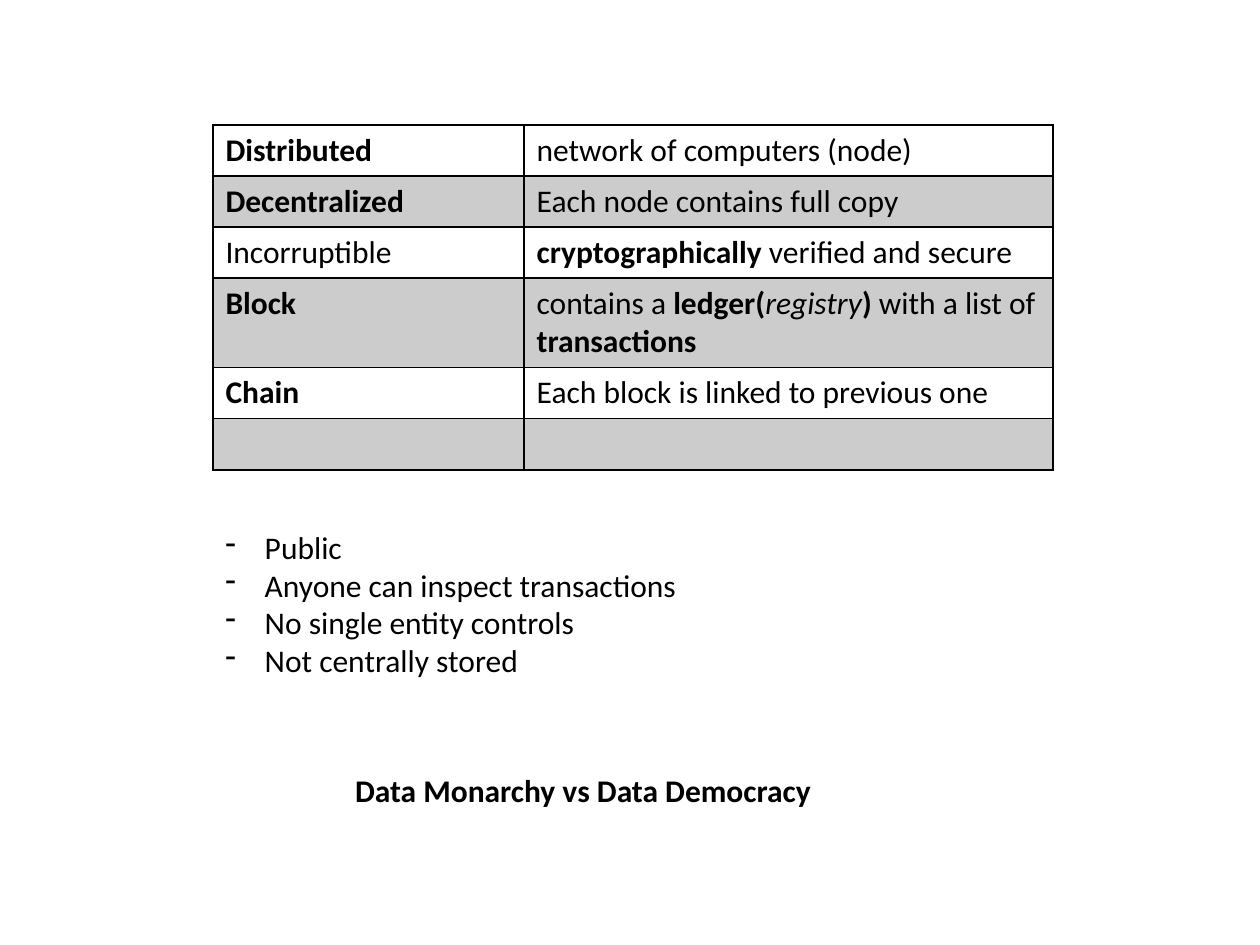
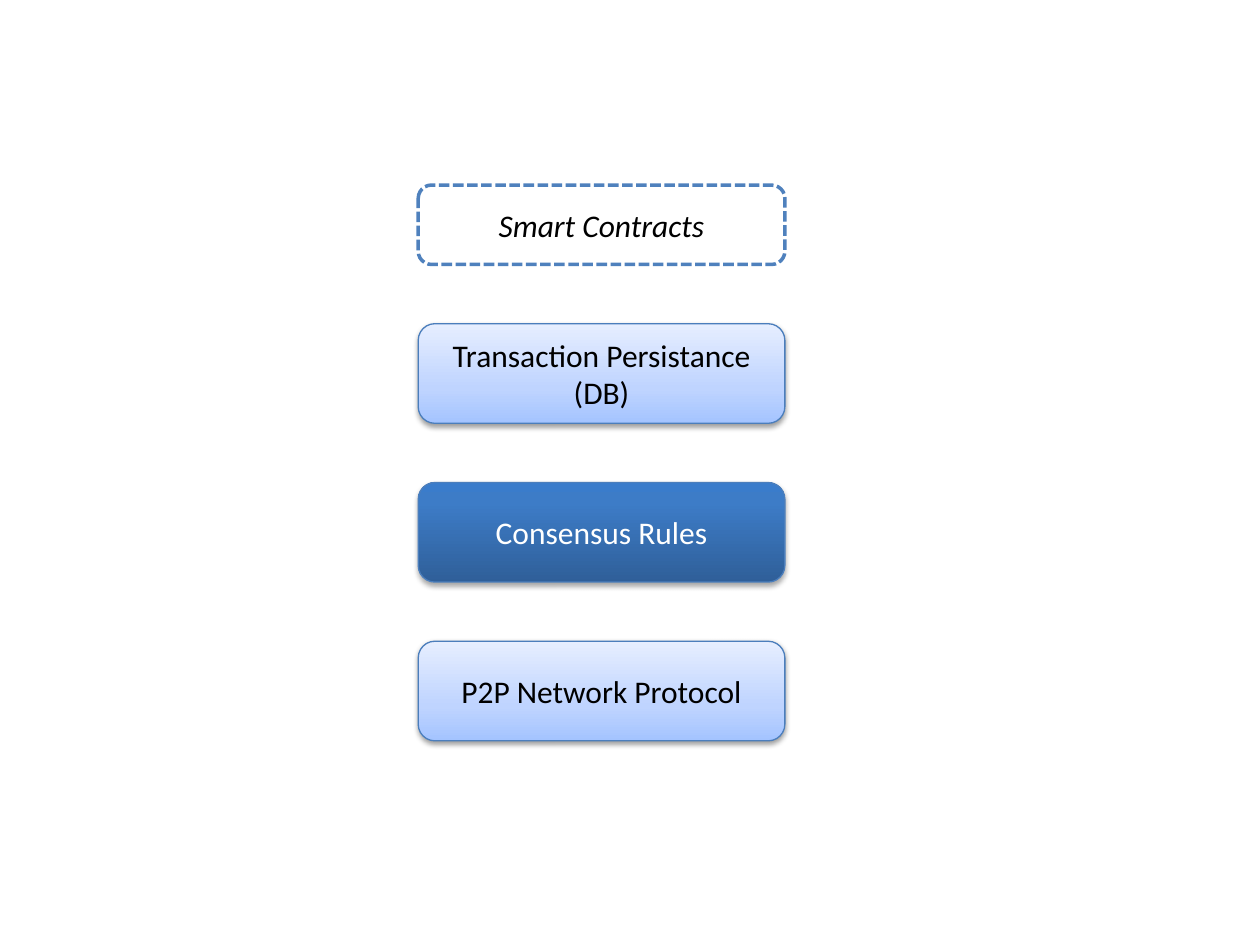
"""Build two slides on blockchain traits and protocol layers."""
from dataclasses import dataclass
from typing import Any, Optional

from lxml import etree
from pptx import Presentation
from pptx.dml.color import RGBColor
from pptx.enum.dml import MSO_LINE
from pptx.enum.shapes import MSO_SHAPE
from pptx.enum.text import MSO_ANCHOR, MSO_AUTO_SIZE, PP_ALIGN
from pptx.oxml.ns import qn
from pptx.util import Pt

BLACK = RGBColor(0x00, 0x00, 0x00)
WHITE = RGBColor(0xFF, 0xFF, 0xFF)
EDGE = RGBColor(0x4B, 0x7E, 0xBC)
DASH = RGBColor(0x4F, 0x81, 0xBD)
SKY = (RGBColor(0xA4, 0xC4, 0xFF), RGBColor(0xBF, 0xD4, 0xFF), RGBColor(0xE6, 0xEE, 0xFF))
NAVY = (RGBColor(0x2F, 0x5F, 0x99), RGBColor(0x3D, 0x7C, 0xC7), RGBColor(0x3A, 0x7C, 0xCB))

FONT = "Calibri"
SIZE = Pt(18)
CENTER = PP_ALIGN.CENTER
MIDDLE = MSO_ANCHOR.MIDDLE
ROUND = MSO_SHAPE.ROUNDED_RECTANGLE
SYS_DASH = MSO_LINE.SQUARE_DOT
GROW = MSO_AUTO_SIZE.SHAPE_TO_FIT_TEXT
BLANK = 6

LEFT = Pt(121.7)
INDENT = Pt(22.5)
ROW = Pt(29.2)
TALL = Pt(51)
COLS = (Pt(177.8), Pt(302.4))
LAYER_X, LAYER_Y, LAYER_W = Pt(239), Pt(105.8), Pt(209.5)
GAP = Pt(33.84)


@dataclass(frozen=True)
class Span:
    """A stretch of text in one style."""

    text: str
    bold: bool = False
    italic: bool = False


@dataclass(frozen=True)
class Trait:
    """A table row: a name and what it means."""

    name: Span
    sense: tuple[Span, ...]
    height: int = ROW


@dataclass(frozen=True)
class Shade:
    """A gradient, from bottom to top, with its shadow."""

    colors: tuple[RGBColor, ...]
    mid: int
    alpha: int
    dist: float


@dataclass(frozen=True)
class Layer:
    """One box of the protocol stack."""

    text: str
    shade: Optional[Shade] = None
    height: int = Pt(56.88)
    ink: RGBColor = BLACK


TRAITS = (
    Trait(Span("Distributed", True), (Span("network of computers (node)"),)),
    Trait(Span("Decentralized", True), (Span("Each node contains full copy"),)),
    Trait(Span("Incorruptible"),
          (Span("cryptographically", True), Span(" verified and secure"))),
    Trait(Span("Block", True),
          (Span("contains a "), Span("ledger(", True), Span("registry", italic=True),
           Span(")", True), Span(" with a list of "), Span("transactions", True)), TALL),
    Trait(Span("Chain", True), (Span("Each block is linked to previous one"),)),
    Trait(Span(""), ()),
)
POINTS = ("Public", "Anyone can inspect transactions",
          "No single entity controls", "Not centrally stored")
LIGHT = Shade(SKY, 35, 38, 1.6)
DARK = Shade(NAVY, 80, 35, 1.8)
LAYERS = (
    Layer("Smart Contracts", height=Pt(45.36)),
    Layer("Transaction Persistance (DB)", LIGHT),
    Layer("Consensus Rules", DARK, ink=WHITE),
    Layer("P2P Network Protocol", LIGHT),
)


def node(parent: Any, tag: str, **attrs: Any) -> Any:
    """Add a DrawingML child element."""
    return etree.SubElement(parent, qn(f"a:{tag}"), {k: str(v) for k, v in attrs.items()})


def tint(parent: Any, color: RGBColor, alpha: int = 100) -> None:
    """Add a colour element, see-through when alpha is below 100."""
    item = node(parent, "srgbClr", val=color)
    if alpha < 100:
        node(item, "alpha", val=alpha * 1000)


def put(para: Any, text: str, *, bold: bool = False, italic: bool = False,
        ink: RGBColor = BLACK) -> None:
    """Add a formatted run to a paragraph."""
    run = para.add_run()
    run.text = text
    font = run.font
    font.name, font.size = FONT, SIZE
    font.bold, font.italic = bold, italic
    font.color.rgb = ink


def fill_cell(cell: Any, spans: tuple[Span, ...], band: bool) -> None:
    """Write, border and shade a table cell."""
    para = cell.text_frame.paragraphs[0]
    for span in spans:
        if span.text:
            put(para, span.text, bold=span.bold, italic=span.italic)
    if not para.runs:
        para.font.size = SIZE
    props = cell._tc.get_or_add_tcPr()
    for side in ("lnL", "lnR", "lnT", "lnB"):
        tint(node(node(props, side, w=Pt(1)), "solidFill"), BLACK)
    if band:
        tint(node(props, "solidFill"), BLACK, 20)
    else:
        cell.fill.background()


def add_grid(slide: Any) -> None:
    """Draw the table of traits."""
    height = sum(trait.height for trait in TRAITS)
    table = slide.shapes.add_table(len(TRAITS), len(COLS), LEFT, Pt(71.3),
                                   sum(COLS), height).table
    table.first_row = table.horz_banding = False
    for col, width in zip(table.columns, COLS):
        col.width = width
    for i, trait in enumerate(TRAITS):
        table.rows[i].height = trait.height
        for j, spans in enumerate(((trait.name,), trait.sense)):
            fill_cell(table.cell(i, j), spans, i % 2 == 1)


def add_box(slide: Any, left: int, top: int, width: int, height: int) -> Any:
    """Add an unwrapped text box and return its frame."""
    frame = slide.shapes.add_textbox(left, top, width, height).text_frame
    frame.word_wrap = False
    frame.auto_size = GROW
    return frame


def add_list(slide: Any) -> None:
    """Draw the dashed list."""
    frame = add_box(slide, LEFT, Pt(298), Pt(275), Pt(94.3))
    for i, text in enumerate(POINTS):
        para = frame.add_paragraph() if i else frame.paragraphs[0]
        props = para._p.get_or_add_pPr()
        props.set("marL", str(INDENT))
        props.set("indent", str(-INDENT))
        node(props, "buFontTx")
        node(props, "buChar", char="-")
        put(para, text)


def paint(shape: Any, shade: Shade) -> None:
    """Give a shape its gradient and shadow."""
    shape.fill.gradient()
    shape.fill.gradient_angle = 90
    props = shape._element.spPr
    stops = props.find(qn("a:gradFill")).find(qn("a:gsLst"))
    for stop in list(stops):
        stops.remove(stop)
    for pos, color in zip((0, shade.mid, 100), shade.colors):
        tint(node(stops, "gs", pos=pos * 1000), color)
    cast = node(props.find(qn("a:effectLst")), "outerShdw", blurRad=Pt(3.1),
                dist=Pt(shade.dist), dir=5400000, rotWithShape=0)
    tint(cast, BLACK, shade.alpha)


def add_layer(slide: Any, layer: Layer, top: int) -> None:
    """Draw one rounded box of the stack."""
    shape = slide.shapes.add_shape(ROUND, LAYER_X, top, LAYER_W, layer.height)
    shape.shadow.inherit = False
    line = shape.line
    if layer.shade:
        paint(shape, layer.shade)
        line.color.rgb, line.width = EDGE, Pt(0.75)
    else:
        shape.fill.solid()
        shape.fill.fore_color.rgb = WHITE
        line.color.rgb, line.width = DASH, Pt(2)
        line.dash_style = SYS_DASH
    frame = shape.text_frame
    frame.word_wrap = True
    frame.vertical_anchor = MIDDLE
    para = frame.paragraphs[0]
    para.alignment = CENTER
    put(para, layer.text, italic=layer.shade is None, ink=layer.ink)


def main() -> None:
    """Build and save the deck."""
    deck = Presentation()
    deck.slide_width, deck.slide_height = Pt(720), Pt(540)
    blank = deck.slide_layouts[BLANK]

    traits = deck.slides.add_slide(blank)
    add_grid(traits)
    add_list(traits)
    motto = add_box(traits, Pt(195.8), Pt(437), Pt(277.2), Pt(29))
    put(motto.paragraphs[0], "Data Monarchy vs Data Democracy", bold=True)

    stack = deck.slides.add_slide(blank)
    top = LAYER_Y
    for layer in LAYERS:
        add_layer(stack, layer, top)
        top += layer.height + GAP

    deck.save("out.pptx")


if __name__ == "__main__":
    main()
